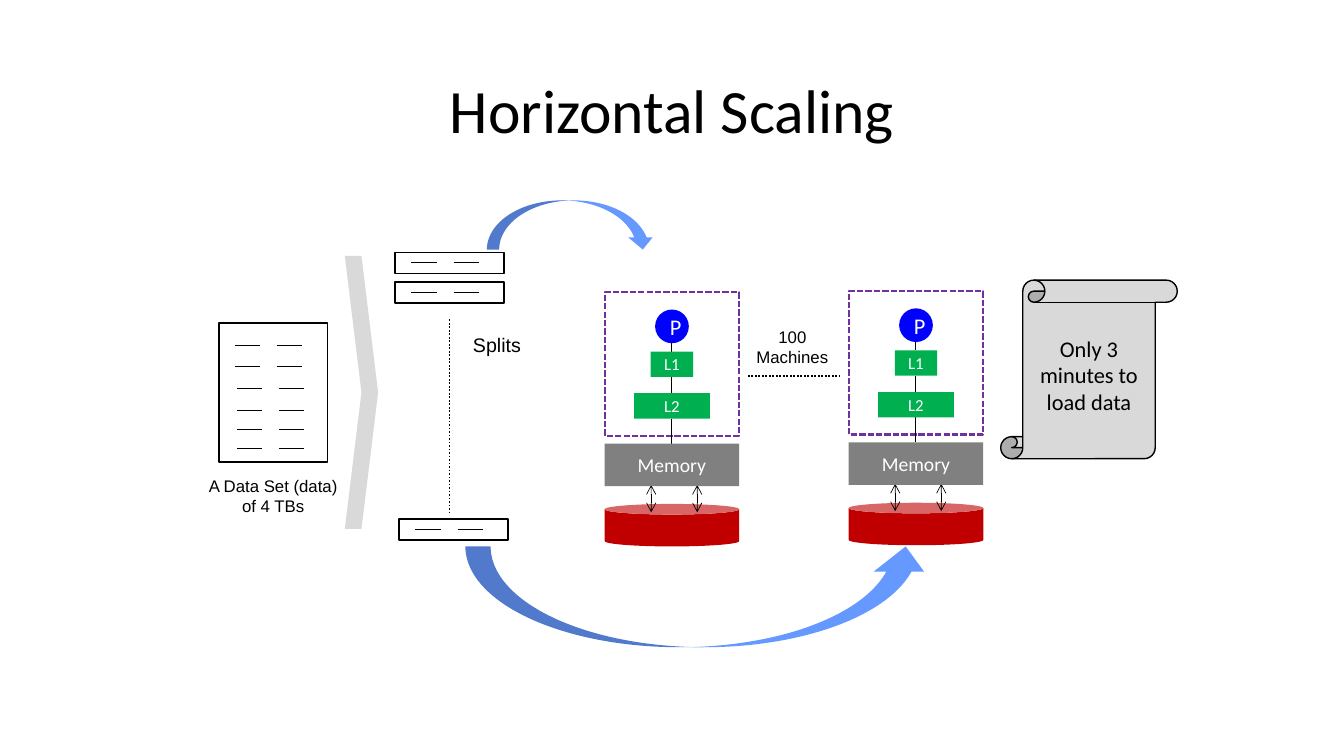
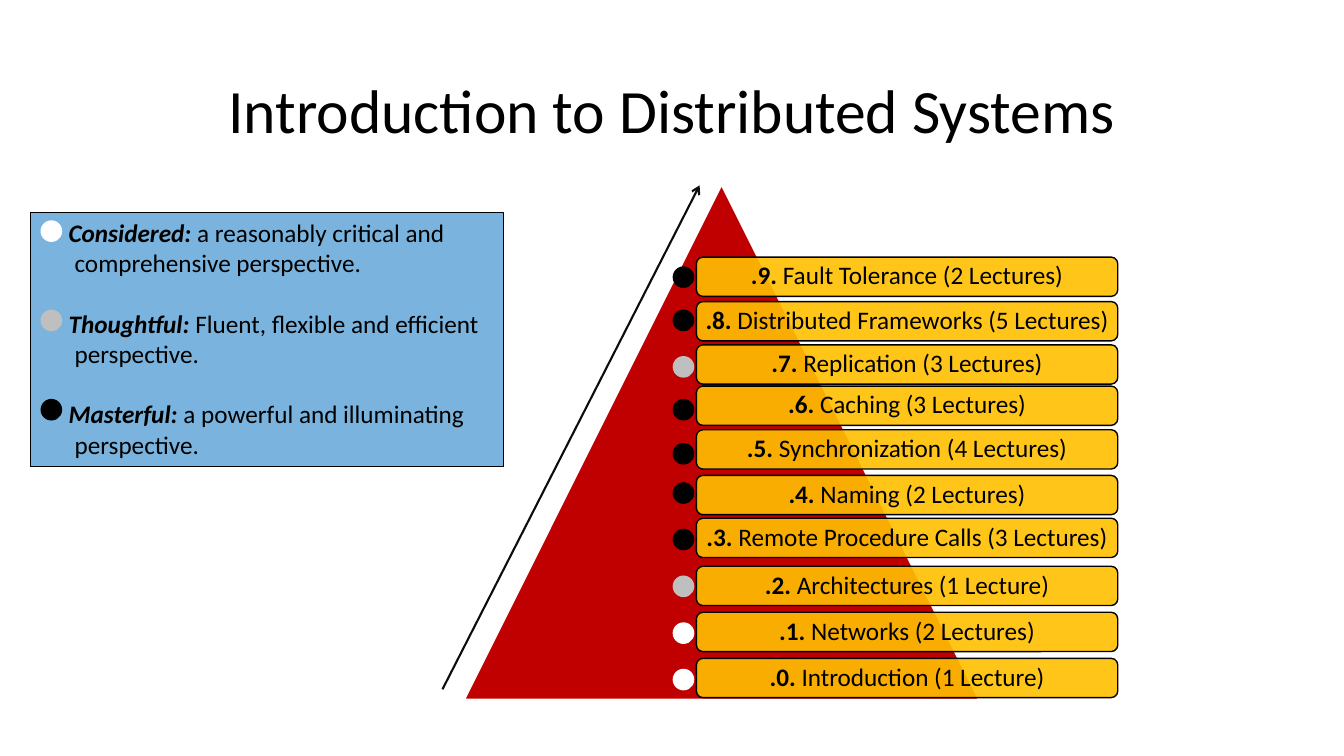
"""Build two slides on horizontal scaling and a course outline."""
from lxml import etree
from pptx import Presentation, util as u
from pptx.dml import color
from pptx.enum import dml, shapes, text
from pptx.oxml import ns

Cm, Pt = u.Cm, u.Pt
hue = color.RGBColor.from_string
form, dash, side = shapes.MSO_SHAPE, dml.MSO_LINE, text.PP_ALIGN
BLACK, WHITE, GREY, RED, GREEN = "000000", "FFFFFF", "BFBFBF", "C00000", "00B050"


def box(page, kind, spot, fill=None, edge=None, wide=1, fade=100,
        lines=(), size=18, tone=BLACK, face="Calibri"):
    """Add a preset shape, or a text box when kind is None."""
    area = [Cm(n) for n in spot]
    if kind is None:
        item = page.shapes.add_textbox(*area)
        item.text_frame.word_wrap = False
    else:
        item = page.shapes.add_shape(kind, *area)
        item.shadow.inherit = False
    if fill:
        item.fill.solid()
        item.fill.fore_color.rgb = hue(fill)
        if fade < 100:
            node = item.fill._xPr.find(".//" + ns.qn("a:srgbClr"))
            etree.SubElement(node, ns.qn("a:alpha"), val=str(fade * 1000))
    else:
        item.fill.background()
    if edge:
        item.line.color.rgb = hue(edge)
        item.line.width = Pt(wide)
    else:
        item.line.fill.background()
    if lines:
        item.text_frame.text = "\n".join(lines)
        for para in item.text_frame.paragraphs:
            para.alignment = side.CENTER
            para.font.size = Pt(size)
            para.font.name = face
            para.font.color.rgb = hue(tone)
    return item


def link(page, x1, y1, x2, y2, wide=0.5, tone=BLACK, dots=False, ends=()):
    """Add a straight line with arrowheads at the named ends."""
    item = page.shapes.add_connector(
        shapes.MSO_CONNECTOR.STRAIGHT, Cm(x1), Cm(y1), Cm(x2), Cm(y2))
    item.line.color.rgb = hue(tone)
    item.line.width = Pt(wide)
    if dots:
        item.line.dash_style = dash.ROUND_DOT
    for end in ends:
        etree.SubElement(item.line._get_or_add_ln(), ns.qn("a:" + end), type="arrow")
    etree.SubElement(item._element.spPr, ns.qn("a:effectLst"))


deck = Presentation()
deck.slide_width, deck.slide_height = Cm(33.87), Cm(19.05)
pages = []
for name in ("Horizontal Scaling", "Introduction to Distributed Systems"):
    page = deck.slides.add_slide(deck.slide_layouts[5])
    title = page.shapes.title
    title.left, title.top, title.width, title.height = Cm(2.33), Cm(1.01), Cm(29.21), Cm(3.68)
    title.text_frame.text = name
    title.text_frame.vertical_anchor = text.MSO_ANCHOR.MIDDLE
    para = title.text_frame.paragraphs[0]
    para.alignment = side.CENTER
    para.line_spacing = 0.9
    para.font.size = Pt(44)
    para.font.name = "Calibri"
    para.font.color.rgb = hue(BLACK)
    pages.append(page)
scale, intro = pages

box(scale, form.RECTANGLE, (5.52, 8.14, 2.74, 3.5), edge=BLACK)
marks = [(5.92, 8.69), (5.92, 9.24), (5.97, 9.78), (5.97, 10.34), (5.97, 10.82), (5.97, 11.3)]
for x, y in ((9.96, 6.36), (9.96, 7.11), (10.06, 13.08)):
    box(scale, form.RECTANGLE, (x, y, 2.74, 0.53), edge=BLACK)
    marks.append((x + 0.41, y + 0.26))
for x, y in marks:
    for left in (x, x + 1.06):
        link(scale, left, y, left + 0.64, y)
link(scale, 11.33, 8.05, 11.33, 12.9, 1.25, dots=True)
link(scale, 18.85, 9.47, 21.16, 9.47, 1.25, dots=True)
box(scale, form.CHEVRON, (8.69, 6.45, 0.84, 6.88), "D9D9D9")
box(scale, form.VERTICAL_SCROLL, (25.22, 7.06, 4.45, 4.5), "D9D9D9", BLACK,
    lines=["Only 3 minutes to load data"], size=16)
box(scale, form.CURVED_DOWN_ARROW, (12.27, 5.05, 4.24, 1.24), "6699FF")
box(scale, form.CURVED_UP_ARROW, (11.73, 13.77, 11.73, 2.54), "6699FF")

for spot, size, lines in (
    ((4.93, 11.86, 3.91, 1.3), 12, ["A Data Set (data)", "of 4 TBs"]),
    ((11.66, 8.26, 1.73, 0.86), 14, ["Splits"]),
    ((18.8, 8.1, 2.34, 1.3), 12, ["100", "Machines"]),
):
    box(scale, None, spot, lines=lines, size=size, face="Arial")

for x, lift in ((15.24, 0), (21.39, 0.03)):
    box(scale, form.CAN, (x, 12.7 - lift, 3.39, 1.07), RED)
    for gap in (1.17, 2.33):
        link(scale, x + gap, 12.22 - lift, x + gap, 12.91 - lift, ends=("headEnd", "tailEnd"))
    frame = box(scale, form.RECTANGLE, (x, 7.37 - lift, 3.39, 3.61), edge="7030A0", wide=1.5)
    frame.line.dash_style = dash.SQUARE_DOT
    frame.line._get_or_add_ln().find(ns.qn("a:prstDash")).set("val", "sysDash")
    for top, end in ((8.64, 8.86), (9.5, 9.91), (10.55, 11.18)):
        link(scale, x + 1.69, top - lift, x + 1.69, end - lift)
    for kind, top, wide, high, fill, word, size in (
        (form.OVAL, 7.8, 0.85, 0.85, "0000FF", "P", 16),
        (form.RECTANGLE, 8.86, 1.07, 0.64, GREEN, "L1", 12),
        (form.RECTANGLE, 9.91, 1.91, 0.64, GREEN, "L2", 12),
        (form.RECTANGLE, 11.18, 3.39, 1.07, "808080", "Memory", 14),
    ):
        box(scale, kind, (x + (3.39 - wide) / 2, top - lift, wide, high), fill,
            lines=[word], size=size, tone=WHITE)

box(intro, form.ISOSCELES_TRIANGLE, (11.71, 4.67, 12.95, 12.95), RED, WHITE)
link(intro, 11.15, 17.37, 17.63, 4.67, 1.5, "0D0D0D", ends=("tailEnd",))
rich, spots = [], []
for rank, topic, top, dot, tone in (
    (9, "Fault Tolerance (2 Lectures)", 6.48, 6.73, BLACK),
    (8, "Distributed Frameworks (5 Lectures)", 7.6, 7.82, BLACK),
    (7, "Replication (3 Lectures)", 8.69, 8.99, GREY),
    (6, "Caching (3 Lectures)", 9.73, 10.07, BLACK),
    (5, "Synchronization (4 Lectures)", 10.83, 11.18, BLACK),
    (4, "Naming (2 Lectures)", 11.98, 12.17, BLACK),
    (3, "Remote Procedure Calls (3 Lectures)", 13.06, 13.34, BLACK),
    (2, "Architectures (1 Lecture)", 14.27, 14.52, GREY),
    (1, "Networks (2 Lectures)", 15.43, 15.7, WHITE),
    (0, "Introduction (1 Lecture)", 16.59, 16.87, WHITE),
):
    bar = box(intro, form.ROUNDED_RECTANGLE, (17.55, top, 10.62, 0.99), "FFC000", BLACK, fade=90)
    frame = bar.text_frame
    frame.margin_left = frame.margin_right = frame.margin_top = frame.margin_bottom = Cm(0.05)
    para = frame.paragraphs[0]
    para.alignment = side.CENTER
    para.line_spacing = 0.9
    rich.append((para, f".{rank}. ", topic, False))
    spots.append((16.97, dot, tone))

key = box(intro, form.RECTANGLE, (0.78, 5.35, 11.9, 6.4), "0070C0", BLACK, 0.75, 52)
key.text_frame.vertical_anchor = text.MSO_ANCHOR.TOP
for n, (lead, rest, tone) in enumerate((
    ("Considered:", " a reasonably critical and comprehensive perspective.", WHITE),
    ("Thoughtful:", " Fluent, flexible and efficient perspective.", GREY),
    ("Masterful:", " a powerful and illuminating perspective.", BLACK),
)):
    para = key.text_frame.add_paragraph() if n else key.text_frame.paragraphs[0]
    para.alignment = side.LEFT
    if n:
        para.space_before = Pt(21.6)
    props = para._p.get_or_add_pPr()
    props.set("marL", str(Cm(0.85)))
    props.set("indent", str(Cm(-0.15)))
    rich.append((para, lead, rest, True))
    spots.append((1.04, 5.57 + 2.25 * n, tone))

for para, lead, rest, slant in rich:
    para.font.size = Pt(18)
    para.font.name = "Calibri"
    para.font.color.rgb = hue(BLACK)
    head = para.add_run()
    head.text = lead
    head.font.bold = True
    head.font.italic = slant
    para.add_run().text = rest
for x, y, tone in spots:
    box(intro, form.OVAL, (x, y, 0.51, 0.51), tone, tone)

deck.save("out.pptx")
